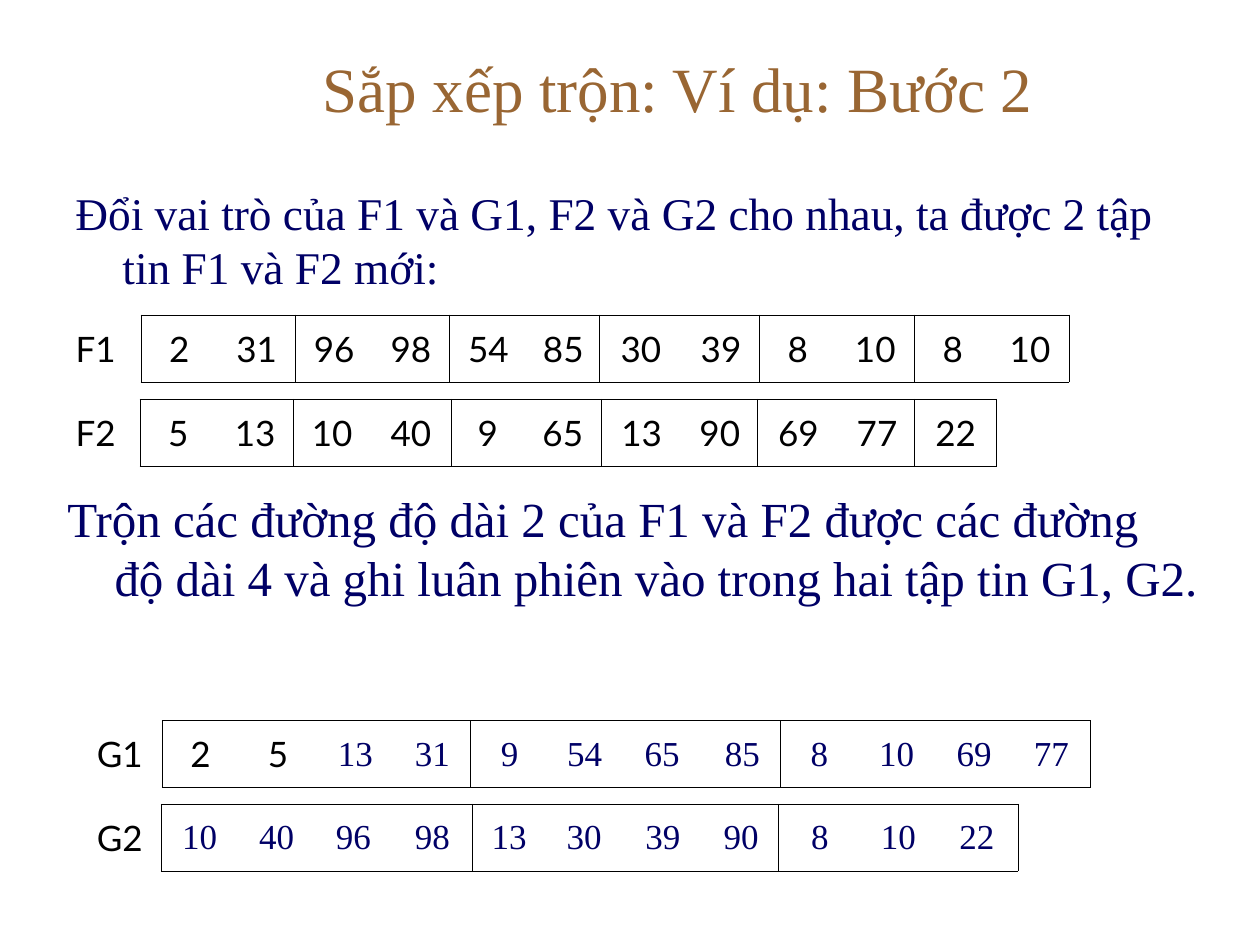
from lxml.etree import SubElement
from pptx import Presentation
from pptx.dml.color import RGBColor
from pptx.enum.text import MSO_ANCHOR as Anchor, PP_ALIGN as Align
from pptx.oxml.ns import qn
from pptx.util import Cm, Pt

COLORS = {"title": "996633", "body": "000066", "black": "000000"}
SERIF, SANS = "Times New Roman", "Lato"
ROW_HEIGHT = 1.35
HANGING = Cm(0.95)

# Column widths in cm, label column first
WIDE = [1.57, 1.55, 1.57, 1.55, 1.55, 1.57, 1.45, 1.68, 1.55, 1.55, 1.57, 1.55, 1.57]
SHORT = [1.55, 1.55, 1.55, 1.55, 1.63, 1.47, 1.55, 1.63, 1.52, 1.65, 1.52, 1.65]

# label, left, top, widths, runs of sorted values, count of values in plain black
FILES = [
    ("F1", 1.27, 6.35, WIDE,
     [[2, 31], [96, 98], [54, 85], [30, 39], [8, 10], [8, 10]], 12),
    ("F2", 1.27, 8.05, SHORT,
     [[5, 13], [10, 40], [9, 65], [13, 90], [69, 77], [22]], 11),
    ("G1", 1.7, 14.53, WIDE,
     [[2, 5, 13, 31], [9, 54, 65, 85], [8, 10, 69, 77]], 2),
    ("G2", 1.7, 16.21, SHORT,
     [[10, 40, 96, 98], [13, 30, 39, 90], [8, 10, 22]], 0),
]


def add_span(para, text, size, font, color):
    span = para.add_run()
    span.text = text
    span.font.size = Pt(size)
    span.font.name = font
    span.font.color.rgb = RGBColor.from_string(COLORS[color])


def add_title(page, text):
    title = page.shapes.title
    title.left, title.top, title.width, title.height = Cm(3.18), Cm(0.76), Cm(20.96), Cm(1.98)
    title.text_frame.vertical_anchor = Anchor.MIDDLE
    para = title.text_frame.paragraphs[0]
    para.alignment = Align.CENTER
    add_span(para, text, 36, SERIF, "title")


def add_statement(page, left, top, height, text, size):
    box = page.shapes.add_textbox(Cm(left), Cm(top), Cm(23.29), Cm(height))
    box.text_frame.word_wrap = True
    para = box.text_frame.paragraphs[0]
    properties = para._p.get_or_add_pPr()
    properties.set("marL", str(HANGING))
    properties.set("indent", str(-HANGING))
    add_span(para, text, size, SERIF, "body")


def set_borders(cell, visible):
    """Draw the sides named in visible (letters of LRTB) and hide the others."""
    properties = cell._tc.get_or_add_tcPr()
    for index, side in enumerate("LRTB"):
        line = SubElement(properties, qn(f"a:ln{side}"), w=str(Pt(0.45)))
        if side in visible:
            fill = SubElement(line, qn("a:solidFill"))
            SubElement(fill, qn("a:srgbClr"), val=COLORS["black"])
        else:
            SubElement(line, qn("a:noFill"))
        properties.insert(index, line)  # lines come before the cell fill


def fill_cell(cell, text, alignment, font, color, borders):
    cell.fill.background()
    cell.vertical_anchor = Anchor.MIDDLE
    para = cell.text_frame.paragraphs[0]
    para.alignment = alignment
    add_span(para, text, 20, font, color)
    set_borders(cell, borders)


def add_file(page, label, left, top, widths, groups, plain_count):
    frame = page.shapes.add_table(1, len(widths), Cm(left), Cm(top),
                                  Cm(sum(widths)), Cm(ROW_HEIGHT))
    table = frame.table
    table.first_row = table.horz_banding = False
    for column, width in zip(table.columns, widths):
        column.width = Cm(width)

    fill_cell(table.cell(0, 0), label, Align.JUSTIFY, SANS, "black", "R")
    position = 0
    for group in groups:
        for place, value in enumerate(group):
            borders = "TB"
            if place == 0:
                borders += "L"
            if place == len(group) - 1:
                borders += "R"
            font, color = (SANS, "black") if position < plain_count else (SERIF, "body")
            position += 1
            fill_cell(table.cell(0, position), str(value), Align.CENTER, font, color, borders)


def main():
    deck = Presentation()
    deck.slide_width, deck.slide_height = Cm(25.4), Cm(19.05)
    page = deck.slides.add_slide(deck.slide_layouts[5])

    # Title and explanations
    add_title(page, "Sắp xếp trộn: Ví dụ: Bước 2")
    add_statement(page, 1.27, 3.61, 2.54,
                  "Ðổi vai trò của F1 và G1, F2 và G2 cho nhau, ta được 2 tập tin F1 và F2 mới:", 25.9)
    add_statement(page, 1.11, 9.73, 3.38,
                  "Trộn các đường độ dài 2 của F1 và F2 được các đường độ dài 4 "
                  "và ghi luân phiên vào trong hai tập tin G1, G2.", 28)

    # Files before and after merging
    for file in FILES:
        add_file(page, *file)

    deck.save("out.pptx")


if __name__ == "__main__":
    main()
